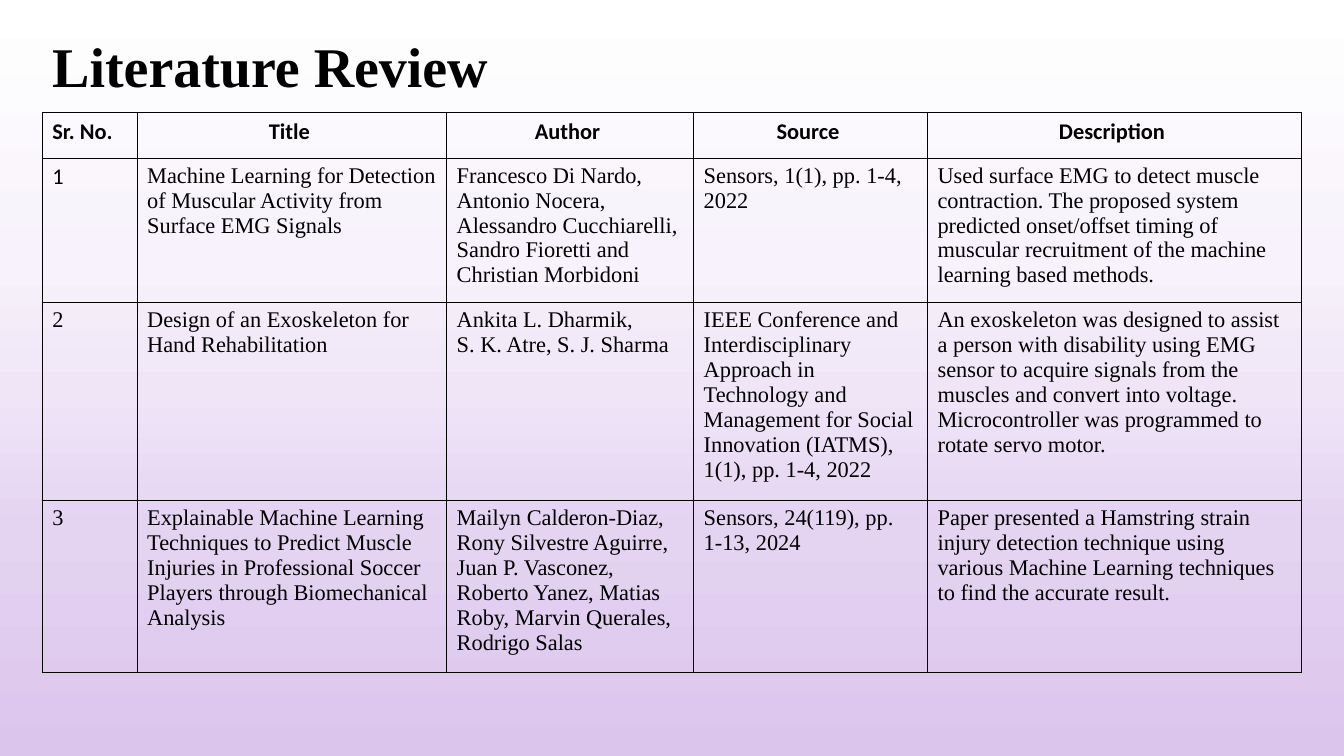
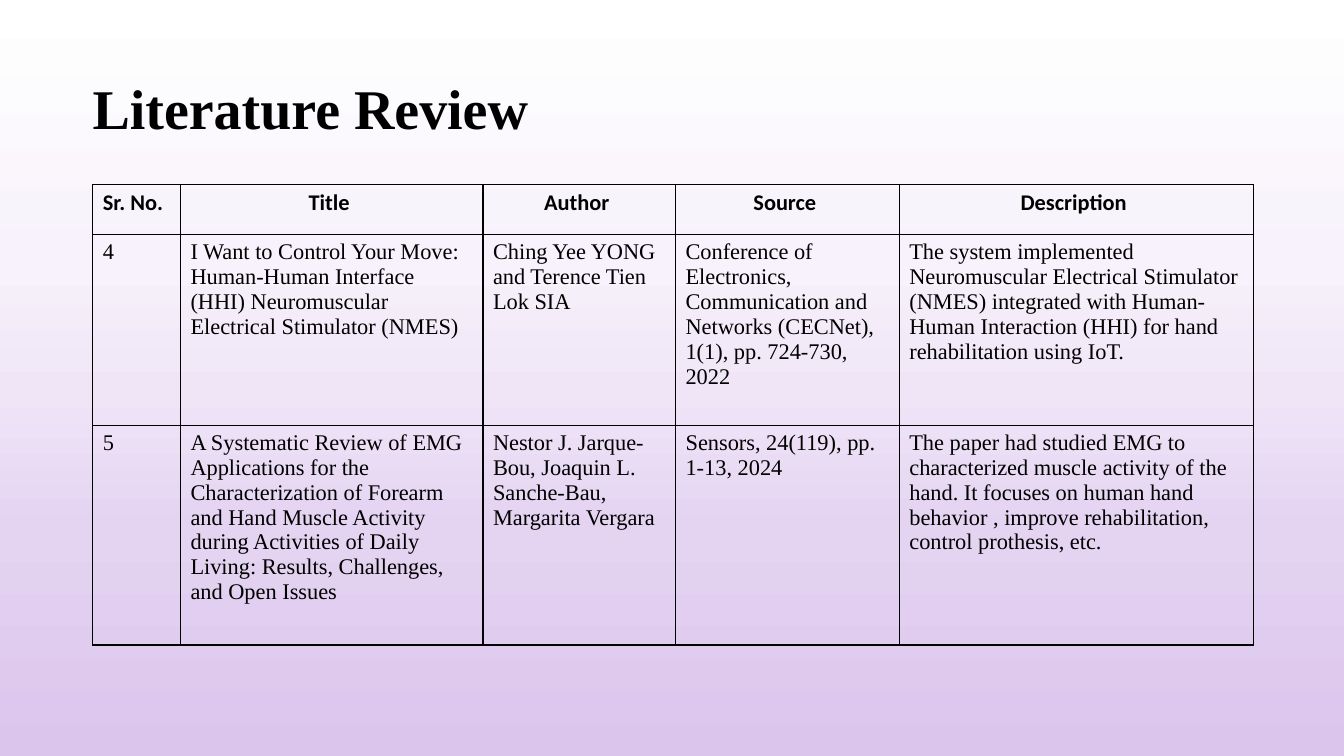
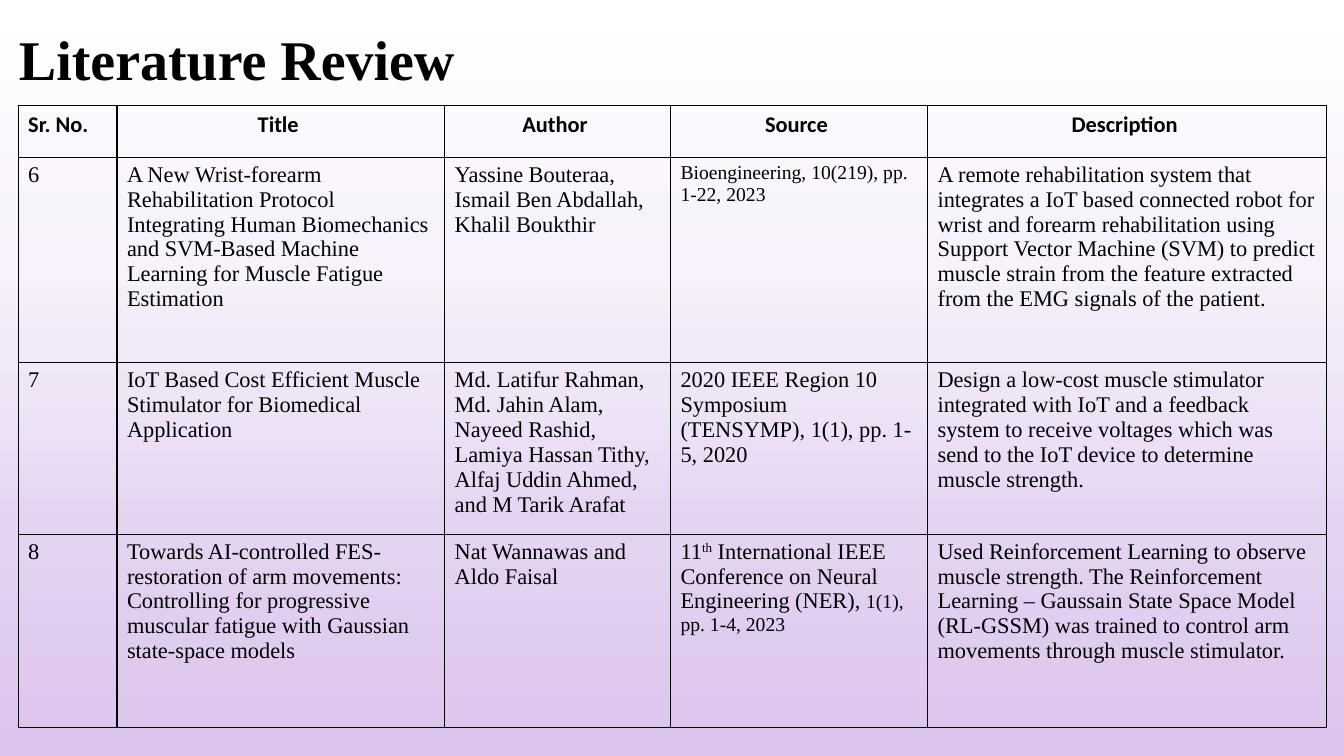
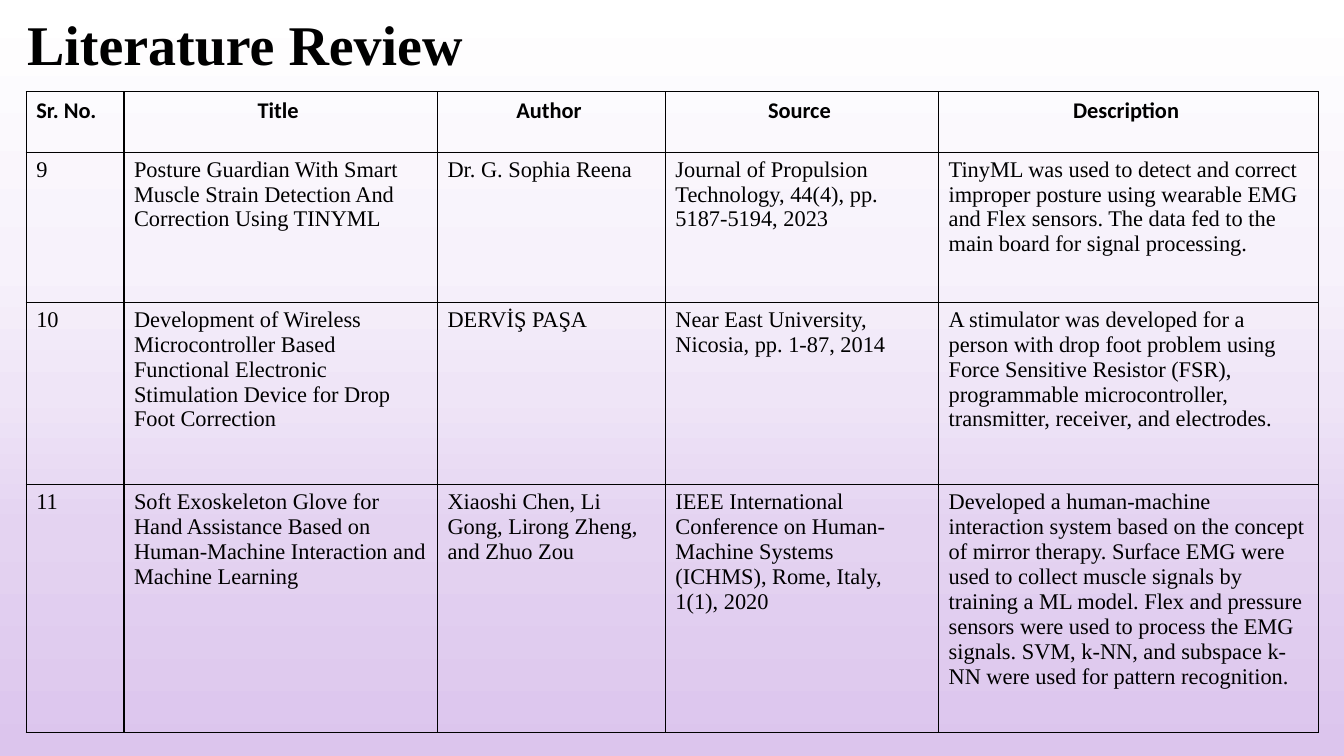
from lxml import etree
from pptx import Presentation
from pptx.dml.color import RGBColor
from pptx.enum.text import MSO_ANCHOR, PP_ALIGN
from pptx.oxml.ns import qn
from pptx.util import Pt

PX = 9144  # 100 px to the inch
PAGE_WIDTH, PAGE_HEIGHT = 1333, 750
TITLE_WIDTH, TITLE_HEIGHT = 1150, 87
BLANK_LAYOUT = 6

MIDDLE = MSO_ANCHOR.MIDDLE
LEFT, CENTER = PP_ALIGN.LEFT, PP_ALIGN.CENTER

BLACK = RGBColor(0x00, 0x00, 0x00)
BACKGROUND_STOPS = [
    (0, RGBColor(0xDC, 0xC5, 0xED)),
    (30, RGBColor(0xE4, 0xD3, 0xF1)),
    (48, RGBColor(0xEF, 0xE5, 0xF7)),
    (65, RGBColor(0xF7, 0xF2, 0xFB)),
    (100, RGBColor(0xFF, 0xFF, 0xFF)),
]

TITLE_FORMAT = {"name": "Times New Roman", "size": Pt(40), "bold": True}
HEADER_FORMAT = {"name": "Calibri", "size": Pt(16), "bold": True}
BODY_FORMAT = {"name": "Times New Roman", "size": Pt(16), "bold": False}
SMALL = {"size": Pt(14)}
SANS = {"name": "Calibri"}
SUPERSCRIPT = {"baseline": 30}

TITLE = "Literature Review"
HEADERS = ["Sr. No.", "Title ", "Author ", "Source ", "Description "]

# A cell is a string (one paragraph a line) or a list of (text, format) spans.
PAGES = [
    {
        "title_at": (42, 25),
        "table_at": (42, 112),
        "columns": [94, 307, 245, 232, 371],
        "rows": [45, 134, 183, 159],
        "papers": [
            [[("1", SANS)],
             "Machine Learning for Detection of Muscular Activity from Surface EMG Signals",
             "Francesco Di Nardo, Antonio Nocera, Alessandro Cucchiarelli, "
             "Sandro Fioretti and Christian Morbidoni",
             "Sensors, 1(1), pp. 1-4, 2022",
             "Used surface EMG to detect muscle contraction. The proposed system predicted "
             "onset/offset timing of muscular recruitment of the machine learning based methods."],
            ["2",
             "Design of an Exoskeleton for Hand Rehabilitation",
             "Ankita L. Dharmik,\nS. K. Atre, S. J. Sharma",
             "IEEE Conference and Interdisciplinary Approach in Technology and Management "
             "for Social Innovation (IATMS), 1(1), pp. 1-4, 2022",
             "An exoskeleton was designed to assist a person with disability using EMG sensor "
             "to acquire signals from the muscles and convert into voltage. Microcontroller "
             "was programmed to rotate servo motor."],
            ["3",
             "Explainable Machine Learning Techniques to Predict Muscle Injuries in "
             "Professional Soccer Players through Biomechanical Analysis",
             "Mailyn Calderon-Diaz, Rony Silvestre Aguirre, Juan P. Vasconez, Roberto Yanez, "
             "Matias Roby, Marvin Querales, Rodrigo Salas",
             "Sensors, 24(119), pp. 1-13, 2024",
             "Paper presented a Hamstring strain injury detection technique using various "
             "Machine Learning techniques to find the accurate result."],
        ],
    },
    {
        "title_at": (82, 67),
        "table_at": (92, 183),
        "columns": [87, 300, 191, 222, 351],
        "rows": [50, 189, 218],
        "papers": [
            ["4",
             "I Want to Control Your Move: Human-Human Interface (HHI) Neuromuscular "
             "Electrical Stimulator (NMES)",
             "Ching Yee YONG and Terence Tien Lok SIA",
             "Conference of Electronics, Communication and Networks (CECNet), 1(1), "
             "pp. 724-730, 2022",
             "The system implemented Neuromuscular Electrical Stimulator (NMES) integrated "
             "with Human-Human Interaction (HHI) for hand rehabilitation using IoT."],
            ["5",
             "A Systematic Review of EMG Applications for the Characterization of Forearm and "
             "Hand Muscle Activity during Activities of Daily Living: Results, Challenges, "
             "and Open Issues",
             "Nestor J. Jarque-Bou, Joaquin L. Sanche-Bau, Margarita Vergara",
             "Sensors, 24(119), pp. 1-13, 2024",
             "The paper had studied EMG to characterized muscle activity of the hand. It "
             "focuses on human hand behavior , improve rehabilitation, control prothesis, etc."],
        ],
    },
    {
        "title_at": (9, 18),
        "table_at": (18, 105),
        "columns": [98, 325, 224, 255, 396],
        "rows": [51, 204, 162, 192],
        "papers": [
            ["6",
             "A New Wrist-forearm Rehabilitation Protocol Integrating Human Biomechanics and "
             "SVM-Based Machine Learning for Muscle Fatigue Estimation",
             "Yassine Bouteraa, Ismail Ben Abdallah, Khalil Boukthir",
             [("Bioengineering, 10(219), pp. 1-22, 2023", SMALL)],
             "A remote rehabilitation system that integrates a IoT based connected robot for "
             "wrist and forearm rehabilitation using Support Vector Machine (SVM) to predict "
             "muscle strain from the feature extracted from the EMG signals of the patient."],
            ["7",
             "IoT Based Cost Efficient Muscle Stimulator for Biomedical Application",
             "Md. Latifur Rahman, Md. Jahin Alam, Nayeed Rashid, Lamiya Hassan Tithy, "
             "Alfaj Uddin Ahmed, and M Tarik Arafat",
             "2020 IEEE Region 10 Symposium (TENSYMP), 1(1), pp. 1-5, 2020",
             "Design a low-cost muscle stimulator integrated with IoT and a feedback system "
             "to receive voltages which was send to the IoT device to determine muscle strength."],
            ["8",
             "Towards AI-controlled FES-restoration of arm movements: Controlling for "
             "progressive muscular fatigue with Gaussian state-space models",
             "Nat Wannawas and Aldo Faisal",
             [("11", {}), ("th", SUPERSCRIPT),
              (" International IEEE Conference on Neural Engineering (NER), ", {}),
              ("1(1), pp. 1-4, 2023", SMALL)],
             "Used Reinforcement Learning to observe muscle strength. The Reinforcement "
             "Learning – Gaussain State Space Model (RL-GSSM) was trained to control arm "
             "movements through muscle stimulator."],
        ],
    },
    {
        "title_at": (17, 4),
        "table_at": (26, 91),
        "columns": [97, 311, 226, 271, 377],
        "rows": [60, 149, 181, 246],
        "papers": [
            ["9",
             "Posture Guardian With Smart Muscle Strain Detection And Correction Using TINYML",
             "Dr. G. Sophia Reena",
             "Journal of Propulsion Technology, 44(4), pp. 5187-5194, 2023",
             "TinyML was used to detect and correct improper posture using wearable EMG and "
             "Flex sensors. The data fed to the main board for signal processing."],
            ["10",
             "Development of Wireless Microcontroller Based Functional Electronic Stimulation "
             "Device for Drop Foot Correction",
             "DERVİŞ PAŞA",
             "Near East University, Nicosia, pp. 1-87, 2014",
             "A stimulator was developed for a person with drop foot problem using Force "
             "Sensitive Resistor (FSR), programmable microcontroller, transmitter, receiver, "
             "and electrodes."],
            ["11",
             "Soft Exoskeleton Glove for Hand Assistance Based on Human-Machine Interaction "
             "and Machine Learning",
             "Xiaoshi Chen, Li Gong, Lirong Zheng, and Zhuo Zou",
             "IEEE International Conference on Human-Machine Systems (ICHMS), Rome, Italy, "
             "1(1), 2020",
             "Developed a human-machine interaction system based on the concept of mirror "
             "therapy. Surface EMG were used to collect muscle signals by training a ML model. "
             "Flex and pressure sensors were used to process the EMG signals. SVM, k-NN, and "
             "subspace k-NN were used for pattern recognition."],
        ],
    },
]


def px(*lengths):
    return [length * PX for length in lengths]


def add_span(para, text, span_format):
    span = para.add_run()
    span.text = text
    span.font.color.rgb = BLACK
    for name, value in span_format.items():
        if name == "baseline":
            span.font._element.set("baseline", str(value * 1000))
        else:
            setattr(span.font, name, value)


def fill_text(frame, content, base_format, align=LEFT):
    if isinstance(content, str):
        lines = [[(line, {})] for line in content.split("\n")]
    else:
        lines = [content]
    for index, spans in enumerate(lines):
        para = frame.add_paragraph() if index else frame.paragraphs[0]
        para.alignment = align
        for text, changes in spans:
            add_span(para, text, {**base_format, **changes})


def set_background(master):
    """Give every page the same vertical gradient."""
    fill = master.background.fill
    fill.gradient()
    fill.gradient_angle = 90
    stop_list = master.element.find(".//" + qn("a:gsLst"))
    for stop in list(stop_list):
        stop_list.remove(stop)
    for position, color in BACKGROUND_STOPS:
        stop = etree.SubElement(stop_list, qn("a:gs"), pos=str(position * 1000))
        etree.SubElement(stop, qn("a:srgbClr"), val=str(color))


def add_title(page, left, top):
    box = page.shapes.add_textbox(*px(left, top, TITLE_WIDTH, TITLE_HEIGHT))
    frame = box.text_frame
    frame.word_wrap = True
    frame.vertical_anchor = MIDDLE
    fill_text(frame, TITLE, TITLE_FORMAT)
    frame.paragraphs[0].line_spacing = 0.9


def style_cell(cell):
    """Black 1 pt borders and no fill."""
    properties = cell._tc.get_or_add_tcPr()
    for side in ("lnL", "lnR", "lnT", "lnB"):
        line = etree.SubElement(properties, qn("a:" + side), w=str(Pt(1)))
        solid = etree.SubElement(line, qn("a:solidFill"))
        etree.SubElement(solid, qn("a:srgbClr"), val=str(BLACK))
    cell.fill.background()


def add_paper_table(page, left, top, columns, rows, papers):
    frame = page.shapes.add_table(len(rows), len(columns),
                                  *px(left, top, sum(columns), sum(rows)))
    table = frame.table
    table.first_row = table.horz_banding = False
    for column, width in zip(table.columns, px(*columns)):
        column.width = width
    for row, height in zip(table.rows, px(*rows)):
        row.height = height
    for row_index, contents in enumerate([HEADERS] + papers):
        is_header = row_index == 0
        for column_index, content in enumerate(contents):
            cell = table.cell(row_index, column_index)
            style_cell(cell)
            fill_text(cell.text_frame, content,
                      HEADER_FORMAT if is_header else BODY_FORMAT,
                      CENTER if is_header and column_index else LEFT)


def add_review_page(deck, content):
    page = deck.slides.add_slide(deck.slide_layouts[BLANK_LAYOUT])
    add_title(page, *content["title_at"])
    add_paper_table(page, *content["table_at"], content["columns"],
                    content["rows"], content["papers"])


def main():
    deck = Presentation()
    deck.slide_width, deck.slide_height = px(PAGE_WIDTH, PAGE_HEIGHT)
    set_background(deck.slide_master)
    for content in PAGES:
        add_review_page(deck, content)
    deck.save("out.pptx")


if __name__ == "__main__":
    main()
